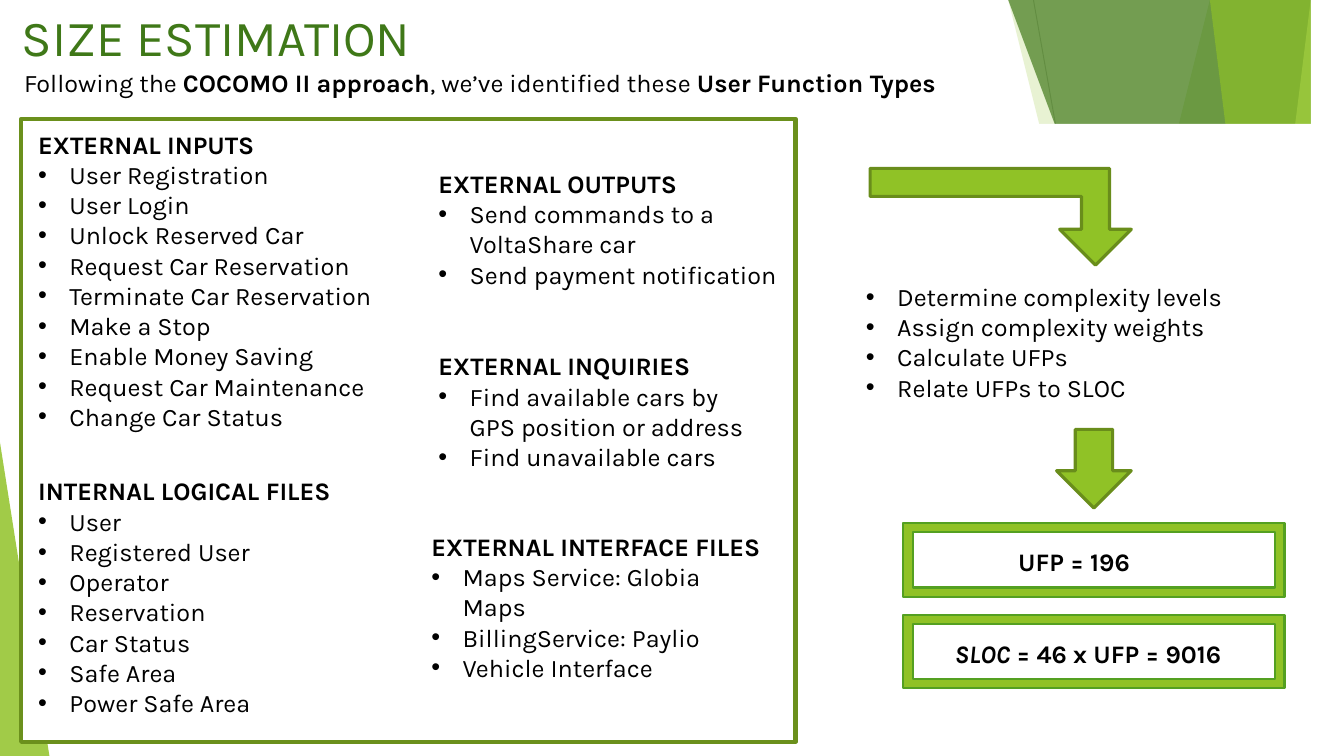
from collections import namedtuple

from lxml import etree
from pptx import Presentation
from pptx import util as u
from pptx.dml.color import RGBColor
from pptx.enum import shapes, text
from pptx.oxml.ns import qn

WIDTH, HEIGHT = 13.33, 7.5
FONT = "Karla"
INDENT = 0.31
BLACK = RGBColor(0x00, 0x00, 0x00)
WHITE = RGBColor(0xFF, 0xFF, 0xFF)
LIME = RGBColor(0x90, 0xC2, 0x26)
PALE_LIME = RGBColor(0xBF, 0xE4, 0x71)
GREEN = RGBColor(0x54, 0xA0, 0x21)
DARK_GREEN = RGBColor(0x3F, 0x78, 0x18)
PANEL_EDGE = RGBColor(0x6B, 0x90, 0x1C)
ARROW_EDGE = RGBColor(0x69, 0x8D, 0x1B)
GREY = RGBColor(0xBF, 0xBF, 0xBF)
LIGHT_GREY = RGBColor(0xD8, 0xD8, 0xD8)

Box = namedtuple("Box", "left top width height")
PRESET = shapes.MSO_SHAPE


def inside(box, left, top, width, height):
    """Box whose left and top are offsets from those of another box."""
    return Box(box.left + left, box.top + top, width, height)


def emu(box):
    return [u.Inches(length) for length in box]


def paint(shape, fill, edge=None, weight=1.0, opacity=100):
    shape.shadow.inherit = False
    shape.fill.solid()
    shape.fill.fore_color.rgb = fill
    if opacity < 100:
        colour = shape.fill._xPr.find(".//" + qn("a:srgbClr"))
        etree.SubElement(colour, qn("a:alpha")).set("val", str(opacity * 1000))
    if edge is None:
        shape.line.fill.background()
    else:
        shape.line.color.rgb = edge
        shape.line.width = u.Pt(weight)
    return shape


def add_preset(slide, preset, box, fill, adjust=(), **style):
    shape = slide.shapes.add_shape(preset, *emu(box))
    for index, value in enumerate(adjust):
        shape.adjustments[index] = value
    return paint(shape, fill, **style)


def add_facet(slide, corners, fill, opacity):
    outline = slide.shapes.build_freeform(*corners[0], scale=u.Inches(1))
    outline.add_line_segments(corners[1:], close=True)
    paint(outline.convert_to_shape(), fill, opacity=opacity)


def add_thin_line(slide, start, end, colour):
    line = slide.shapes.add_connector(
        shapes.MSO_CONNECTOR.STRAIGHT, *emu(start + end))
    line.line.color.rgb = colour
    line.line.width = u.Pt(0.75)
    etree.SubElement(line._element.spPr, qn("a:effectLst"))


def write(paragraph, words, size=18, colour=BLACK, bold=False, italic=False,
          bullet=False, align=text.PP_ALIGN.LEFT):
    """Append one run to a paragraph and format both."""
    run = paragraph.add_run()
    run.text = words
    font = run.font
    font.name, font.size, font.bold, font.italic = FONT, u.Pt(size), bold, italic
    font.color.rgb = colour
    paragraph.alignment = align
    if bullet:
        properties = paragraph._p.get_or_add_pPr()
        properties.set("marL", str(u.Inches(INDENT)))
        properties.set("indent", str(-u.Inches(INDENT)))
        etree.SubElement(properties, qn("a:buFont")).set("typeface", "Arial")
        etree.SubElement(properties, qn("a:buChar")).set("char", "•")


def add_text(slide, box, *runs):
    """Text box with one paragraph of (words, format) runs."""
    frame = slide.shapes.add_textbox(*emu(box)).text_frame
    frame.word_wrap = True
    for words, style in runs:
        write(frame.paragraphs[0], words, **style)


def add_list(slide, box, items, heading=None):
    frame = slide.shapes.add_textbox(*emu(box)).text_frame
    frame.word_wrap = True
    lines = [(heading, {"bold": True})] if heading else []
    lines += [(item, {"bullet": True}) for item in items]
    for index, (words, style) in enumerate(lines):
        paragraph = frame.add_paragraph() if index else frame.paragraphs[0]
        write(paragraph, words, **style)


def backdrop(slide):
    """Translucent facets on the right edge and in the lower left corner."""
    add_thin_line(slide, (10.25, 0), (11.58, HEIGHT), GREY)
    add_thin_line(slide, (WIDTH, 4.03), (8.12, HEIGHT), LIGHT_GREY)

    def edge_facet(top_left, bottom_left, fill, opacity):
        add_facet(slide, [(top_left, 0), (WIDTH, 0), (WIDTH, HEIGHT),
                          (bottom_left, HEIGHT)], fill, opacity)

    def corner_facet(left, top, width, apex, fill, opacity):
        add_preset(slide, PRESET.ISOSCELES_TRIANGLE,
                   Box(left, top, width, HEIGHT - top), fill,
                   adjust=[apex], opacity=opacity)

    edge_facet(12.28, 10.04, LIME, 29)
    edge_facet(10.5, 11.83, LIME, 20)
    corner_facet(9.77, 3.33, 3.56, 1, GREEN, 71)
    edge_facet(10.21, 12.91, DARK_GREEN, 69)
    edge_facet(13.03, 11.92, PALE_LIME, 69)
    edge_facet(11.96, 13.18, LIME, 64)
    corner_facet(11.34, 3.93, 1.99, 1, LIME, 80)
    corner_facet(0, 4.39, 0.49, 0, LIME, 84)
    add_preset(slide, PRESET.RECTANGLE, Box(6.95, 6.48, 2.68, 1.02), WHITE)


def header(slide, box):
    title = slide.shapes.title
    title.left, title.top, title.width, title.height = emu(
        inside(box, 0, 0, 4.29, 0.83))
    frame = title.text_frame
    frame.auto_size = text.MSO_AUTO_SIZE.NONE
    frame.vertical_anchor = text.MSO_ANCHOR.MIDDLE
    write(frame.paragraphs[0], "SIZE ESTIMATION", size=36, colour=DARK_GREEN,
          align=text.PP_ALIGN.CENTER)
    strong = {"bold": True}
    add_text(slide, inside(box, 0.14, 0.67, 10.56, 0.64),
             ("Following the ", {}), ("COCOMO II approach", strong),
             (", we’ve identified these ", {}),
             ("User Function Types", strong))


def function_types(slide, box):
    add_preset(slide, PRESET.RECTANGLE, box, WHITE, edge=PANEL_EDGE, weight=3)
    groups = [
        ("EXTERNAL INPUTS", (0.07, 0.05, 3.9, 3.42),
         ["User Registration", "User Login", "Unlock Reserved Car",
          "Request Car Reservation", "Terminate Car Reservation",
          "Make a Stop", "Enable Money Saving", "Request Car Maintenance",
          "Change Car Status"]),
        ("INTERNAL LOGICAL FILES", (0.07, 3.49, 3.31, 2.51),
         ["User", "Registered User", "Operator", "Reservation", "Car Status",
          "Safe Area", "Power Safe Area"]),
        ("EXTERNAL OUTPUTS", (4.04, 0.44, 3.58, 1.46),
         ["Send commands to a VoltaShare car", "Send payment notification"]),
        ("EXTERNAL INQUIRIES", (4.04, 2.25, 3.45, 1.35),
         ["Find available cars by GPS position or address",
          "Find unavailable cars"]),
        ("EXTERNAL INTERFACE FILES", (3.97, 4.04, 3.52, 1.46),
         ["Maps Service: Globia Maps", "BillingService: Paylio",
          "Vehicle Interface"]),
    ]
    for heading, place, items in groups:
        add_list(slide, inside(box, *place), items, heading)


def calculation(slide, box):
    add_preset(slide, PRESET.RECTANGLE, box, WHITE)
    arrow = {"edge": ARROW_EDGE, "weight": 2.25}
    bent = add_preset(slide, PRESET.BENT_UP_ARROW,
                      inside(box, 0.14, 0.44, 2.59, 0.96), LIME,
                      adjust=[0.29, 0.37, 0.37], **arrow)
    bent.rotation = 180
    bent._element.spPr.find(qn("a:xfrm")).set("flipH", "1")
    add_list(slide, inside(box, 0, 1.51, box.width, 1.35),
             ["Determine complexity levels", "Assign complexity weights",
              "Calculate UFPs", "Relate UFPs to SLOC"])
    add_preset(slide, PRESET.DOWN_ARROW, inside(box, 1.99, 3.03, 0.74, 0.78),
               LIME, **arrow)
    strong = {"bold": True}
    results = [
        (1.51, 1.41, [("UFP = 196", strong)]),
        (0.88, 3.08, [("SLOC", {"bold": True, "italic": True}),
                      (" = 46 x UFP = 9016", strong)]),
    ]
    for row, (left, width, runs) in enumerate(results):
        top = 3.96 + 0.91 * row
        add_preset(slide, PRESET.FRAME, inside(box, 0.47, top, 3.78, 0.73),
                   LIME, adjust=[0.125], edge=GREEN, weight=1.5)
        add_text(slide, inside(box, left, top + 0.18, width, 0.39), *runs)


def main():
    deck = Presentation()
    deck.slide_width, deck.slide_height = u.Inches(WIDTH), u.Inches(HEIGHT)
    slide = deck.slides.add_slide(deck.slide_layouts.get_by_name("Title Only"))
    backdrop(slide)
    header(slide, Box(0, -0.05, 10.7, 1.31))
    function_types(slide, Box(0.21, 1.18, 7.68, 6.18))
    calculation(slide, Box(8.49, 1.23, 4.84, 6.27))
    deck.save("out.pptx")


if __name__ == "__main__":
    main()
